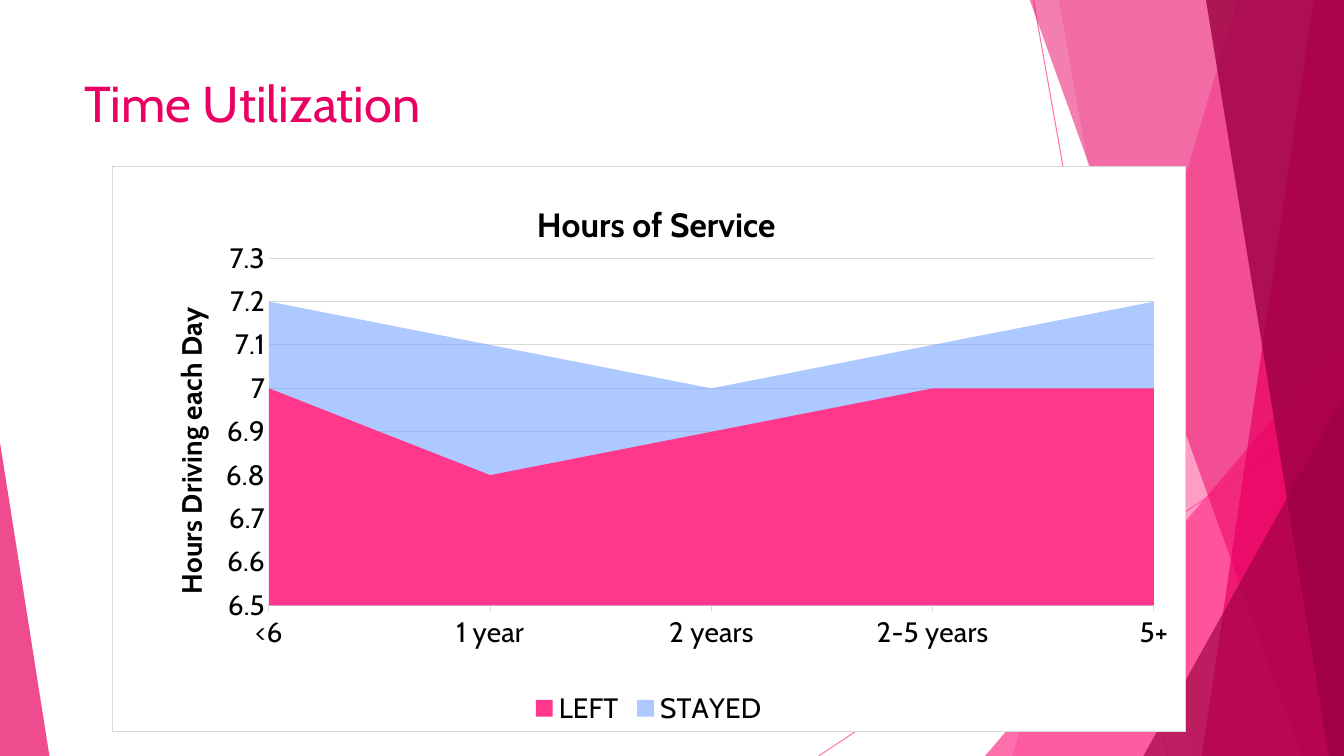
from lxml.etree import SubElement
from pptx import Presentation
from pptx.chart.data import CategoryChartData
from pptx.dml.color import RGBColor
from pptx.enum.chart import XL_CHART_TYPE, XL_LEGEND_POSITION, XL_TICK_MARK
from pptx.enum.shapes import MSO_CONNECTOR, MSO_SHAPE
from pptx.enum.text import MSO_ANCHOR
from pptx.oxml import parse_xml
from pptx.oxml.ns import nsdecls, qn
from pptx.util import Inches, Pt

COLORS = {
    "pink": "FF388C",
    "magenta": "E90062",
    "wine": "9C0042",
    "blue": "72A1FF",
    "grid": "D9D9D9",
    "text": "000000",
    "white": "FFFFFF",
}
WIDTH, HEIGHT, TOP = 13.33, 7.5, -0.01


def color(name):
    return RGBColor.from_string(COLORS[name])


def set_values(target, values):
    for name, value in values.items():
        setattr(target, name, value)


def set_opacity(element, percent):
    for node in element.iter(qn("a:srgbClr")):
        SubElement(node, qn("a:alpha")).set("val", str(percent * 1000))


def set_layout(parent, index, **fractions):
    """Place a chart part by fractions of the chart's size."""
    for layout in parent.findall(qn("c:layout")):
        parent.remove(layout)
    target = '<c:layoutTarget val="inner"/>' if "w" in fractions else ""
    modes = "".join(f'<c:{key}Mode val="edge"/>' for key in "xy")
    sizes = "".join(f'<c:{key} val="{value}"/>' for key, value in fractions.items())
    parent.insert(index, parse_xml(
        f'<c:layout {nsdecls("c")}><c:manualLayout>{target}{modes}{sizes}'
        "</c:manualLayout></c:layout>"))


class SlideBuilder:
    font = "Cabin"

    def __init__(self, slide):
        self.slide = slide
        self.shapes = slide.shapes

    def style_font(self, font, size, color_name="text", bold=False):
        set_values(font, {"name": self.font, "size": Pt(size), "bold": bold})
        font.color.rgb = color(color_name)

    def style_line(self, line, color_name):
        line.color.rgb = color(color_name)
        line.width = Pt(0.75)

    def style_facet(self, shape, color_name, opacity):
        shape.shadow.inherit = False
        shape.fill.solid()
        shape.fill.fore_color.rgb = color(color_name)
        shape.line.fill.background()
        set_opacity(shape.element, opacity)

    def line(self, start, end):
        connector = self.shapes.add_connector(
            MSO_CONNECTOR.STRAIGHT, *(Inches(value) for value in start + end))
        self.style_line(connector.line, "pink")
        set_opacity(connector.element, 70)
        SubElement(connector.element.spPr, qn("a:effectLst"))

    def band(self, top_left, bottom_left, color_name, opacity):
        """A band running to the right edge of the slide, with a slanted left side."""
        points = [(WIDTH, TOP), (WIDTH, HEIGHT), (bottom_left, HEIGHT)]
        builder = self.shapes.build_freeform(Inches(top_left), Inches(TOP))
        builder.add_line_segments([(Inches(x), Inches(y)) for x, y in points])
        self.style_facet(builder.convert_to_shape(), color_name, opacity)

    def triangle(self, box, peak, color_name, opacity):
        shape = self.shapes.add_shape(
            MSO_SHAPE.ISOSCELES_TRIANGLE, *(Inches(value) for value in box))
        shape.adjustments[0] = peak
        self.style_facet(shape, color_name, opacity)

    def title(self, text, box):
        frame = self.shapes.add_textbox(*(Inches(value) for value in box)).text_frame
        set_values(frame, {"word_wrap": True, "vertical_anchor": MSO_ANCHOR.TOP})
        run = frame.paragraphs[0].add_run()
        run.text = text
        self.style_font(run.font, 36, "magenta")

    def chart_title(self, title, text, size, x, y):
        title.text_frame.text = text
        self.style_font(title.text_frame.paragraphs[0].runs[0].font, size, bold=True)
        set_layout(title.element, 1, x=x, y=y)

    def area_chart(self, box, categories, series_styles):
        data = CategoryChartData()
        data.categories = categories
        for name, values, _, _ in series_styles:
            data.add_series(name, values)
        chart = self.shapes.add_chart(
            XL_CHART_TYPE.AREA, *(Inches(value) for value in box), data).chart
        self.style_font(chart.font, 20)

        # Chart frame and plot position
        chart.element.find(qn("c:chart")).addnext(parse_xml(
            f'<c:spPr {nsdecls("c", "a")}>'
            f'<a:solidFill><a:srgbClr val="{COLORS["white"]}"/></a:solidFill>'
            f'<a:ln w="{Pt(0.75)}"><a:solidFill><a:srgbClr val="{COLORS["grid"]}"/>'
            "</a:solidFill></a:ln></c:spPr>"))
        plot_area = chart.element.find(".//" + qn("c:plotArea"))
        set_layout(plot_area, 0, x=0.146, y=0.162, w=0.825, h=0.615)

        # Series
        chart.plots[0].vary_by_categories = False
        nodes = plot_area.iter(qn("c:ser"))
        for series, node, style in zip(chart.plots[0].series, nodes, series_styles):
            series.format.fill.solid()
            series.format.fill.fore_color.rgb = color(style[2])
            set_opacity(node, style[3])

        # Axes
        set_values(chart.category_axis, {
            "major_tick_mark": XL_TICK_MARK.OUTSIDE,
            "minor_tick_mark": XL_TICK_MARK.NONE,
            "has_major_gridlines": False,
        })
        self.style_line(chart.category_axis.format.line, "grid")
        value_axis = chart.value_axis
        set_values(value_axis, {
            "minimum_scale": 6.5, "maximum_scale": 7.3, "major_unit": 0.1,
            "major_tick_mark": XL_TICK_MARK.NONE,
            "minor_tick_mark": XL_TICK_MARK.NONE,
            "has_major_gridlines": True, "has_title": True,
        })
        value_axis.format.line.fill.background()
        self.style_line(value_axis.major_gridlines.format.line, "grid")

        # Titles and legend
        chart.has_title = True
        self.chart_title(chart.chart_title, "Hours of Service", 24, 0.39, 0.05)
        self.chart_title(value_axis.axis_title, "Hours Driving each Day", 20, 0.05, 0.24)
        chart.has_legend = True
        set_values(chart.legend, {
            "position": XL_LEGEND_POSITION.BOTTOM, "include_in_layout": False})
        self.style_font(chart.legend.font, 20)


def main():
    presentation = Presentation()
    set_values(presentation, {
        "slide_width": Inches(WIDTH), "slide_height": Inches(HEIGHT)})
    builder = SlideBuilder(presentation.slides.add_slide(presentation.slide_layouts[6]))

    # Faceted background
    builder.line((10.25, 0), (11.58, HEIGHT))
    builder.line((WIDTH, 4.03), (8.12, HEIGHT))
    builder.band(12.28, 10.04, "pink", 36)
    builder.band(10.5, 11.83, "pink", 20)
    builder.triangle((9.77, 3.33, 3.56, 4.17), 1, "pink", 72)
    builder.band(10.21, 12.91, "magenta", 50)
    builder.band(13.03, 11.92, "magenta", 70)
    builder.band(11.96, 13.18, "wine", 80)
    builder.triangle((11.34, 3.93, 1.99, 3.57), 1, "wine", 66)
    builder.triangle((0, 4.39, 0.49, 3.11), 0, "magenta", 70)

    # Title and chart
    builder.title("Time Utilization", (0.74, 0.67, 9.4, 1.44))
    builder.area_chart(
        (1.11, 1.65, 10.65, 5.61),
        ["<6", "1 year", "2 years", "2-5 years", "5+"],
        [("LEFT", (7, 6.8, 6.9, 7, 7), "pink", 100),
         ("STAYED", (7.2, 7.1, 7, 7.1, 7.2), "blue", 57)])

    presentation.save("out.pptx")


if __name__ == "__main__":
    main()
